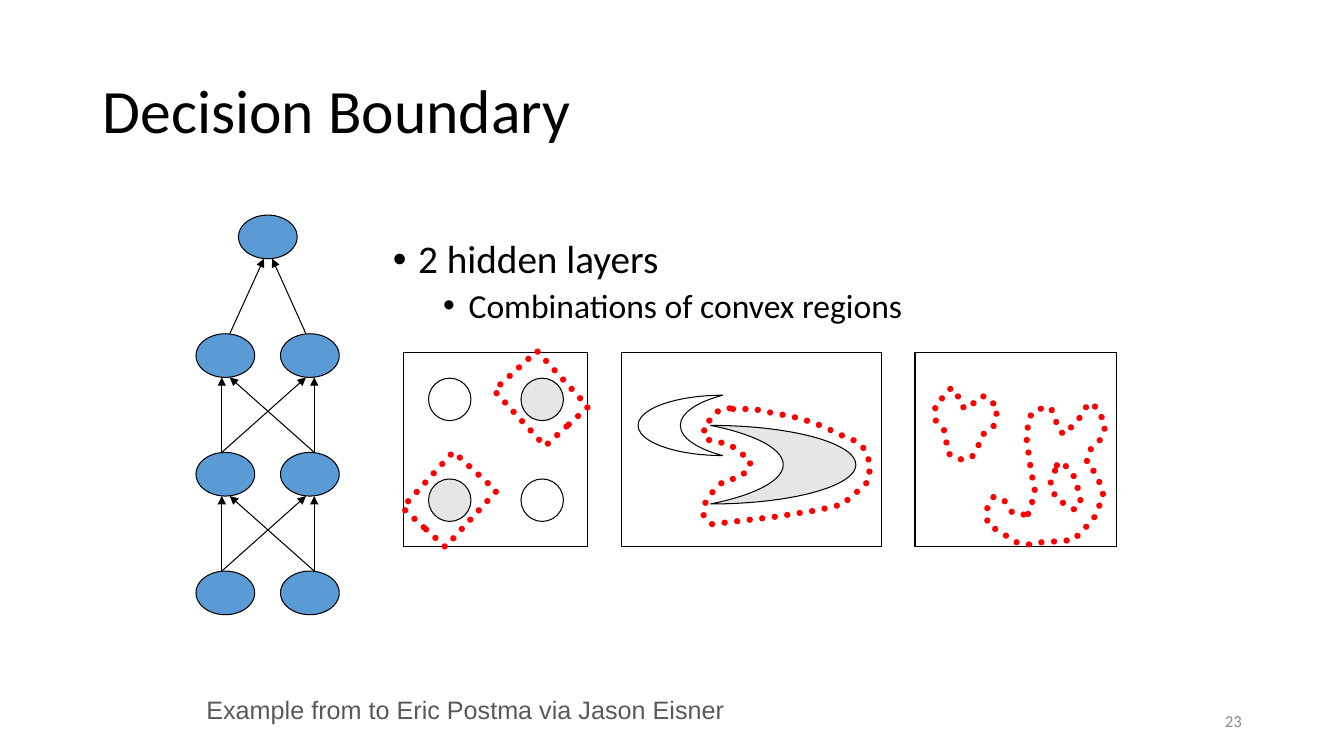
from lxml import etree
from pptx import Presentation
from pptx.dml.color import RGBColor
from pptx.enum.dml import MSO_LINE
from pptx.enum.shapes import MSO_CONNECTOR, MSO_SHAPE
from pptx.enum.text import MSO_ANCHOR, PP_ALIGN
from pptx.oxml.ns import qn
from pptx.util import Cm, Pt

ELLIPSE, RECT, MOON = MSO_SHAPE.OVAL, MSO_SHAPE.RECTANGLE, MSO_SHAPE.MOON
STRAIGHT = MSO_CONNECTOR.STRAIGHT
DOTTED = MSO_LINE.ROUND_DOT
MIDDLE, TOP = MSO_ANCHOR.MIDDLE, MSO_ANCHOR.TOP
LEFT, RIGHT = PP_ALIGN.LEFT, PP_ALIGN.RIGHT

COLORS = {
    "black": "000000",
    "white": "FFFFFF",
    "gray": "E7E6E6",
    "blue": "5B9BD5",
    "red": "FF0000",
    "credit": "595959",
    "number": "8C8C8C",
}

CRESCENT_BOUNDARY = [
    (1839, 1029), (1811, 1034), (1801, 1049), (1773, 1072), (1778, 1107),
    (1839, 1120), (1892, 1161), (1887, 1184), (1860, 1204), (1824, 1212),
    (1796, 1240), (1778, 1267), (1773, 1298), (1793, 1321), (1948, 1303),
    (2065, 1285), (2103, 1275), (2121, 1273), (2174, 1227), (2189, 1212),
    (2193, 1167), (2174, 1125), (2149, 1108), (2121, 1097), (2108, 1090),
    (2051, 1065), (1994, 1049), (1938, 1039), (1892, 1029), (1860, 1033),
]
HEART_BOUNDARY = [
    (2395, 980), (2385, 993), (2357, 1021), (2357, 1058), (2380, 1085),
    (2390, 1143), (2418, 1158), (2449, 1153), (2471, 1113), (2477, 1095),
    (2504, 1074), (2515, 1027), (2482, 998), (2464, 1003), (2443, 1029),
    (2426, 1026), (2417, 1011), (2413, 993), (2398, 988),
]
BOOT_BOUNDARY = [
    (2591, 1295), (2609, 1242), (2598, 1184), (2586, 1097), (2596, 1049),
    (2609, 1034), (2637, 1026), (2649, 1029), (2670, 1085), (2682, 1095),
    (2718, 1057), (2736, 1029), (2741, 1016), (2757, 1022), (2769, 1034),
    (2786, 1074), (2774, 1107), (2746, 1135), (2738, 1167), (2758, 1189),
    (2774, 1222), (2781, 1250), (2756, 1308), (2705, 1361), (2621, 1367),
    (2593, 1372), (2563, 1367), (2489, 1321), (2486, 1285), (2504, 1252),
    (2530, 1260), (2550, 1290), (2571, 1298),
]
HOLE_BOUNDARY = [
    (2659, 1186), (2647, 1219), (2661, 1255), (2695, 1278), (2710, 1285),
    (2723, 1260), (2710, 1205), (2677, 1163), (2664, 1171),
]


def rgb(name):
    return RGBColor.from_string(COLORS[name])


def style_shape(sp, fill=None, dotted=False):
    sp.shadow.inherit = False
    if fill:
        sp.fill.solid()
        sp.fill.fore_color.rgb = rgb(fill)
    else:
        sp.fill.background()
    sp.line.color.rgb = rgb("red" if dotted else "black")
    sp.line.width = Pt(4.5 if dotted else 0.75)
    if dotted:
        sp.line.dash_style = DOTTED
        sp.line._get_or_add_ln().set("cap", "rnd")


def add_figure(s, kind, box, fill=None, dotted=False, rotation=0, flip=False):
    sp = s.shapes.add_shape(kind, *map(Cm, box))
    style_shape(sp, fill, dotted)
    sp.rotation = rotation
    if flip:
        sp._element.spPr.find(qn("a:xfrm")).set("flipH", "1")


def add_boundary(s, points):
    builder = s.shapes.build_freeform(*points[0], scale=Cm(0.01))
    builder.add_line_segments(points[1:], close=True)
    style_shape(builder.convert_to_shape(), dotted=True)


def add_arrow(s, x1, y1, x2, y2):
    line = s.shapes.add_connector(STRAIGHT, Cm(x1), Cm(y1), Cm(x2), Cm(y2))
    line.line.color.rgb = rgb("black")
    line.line.width = Pt(0.75)
    ln = line.line._get_or_add_ln()
    etree.SubElement(ln, qn("a:tailEnd"), type="triangle")
    etree.SubElement(line._element.spPr, qn("a:effectLst"))


def add_text(s, box, lines, color="black", font="Calibri", align=LEFT,
             anchor=TOP, wrap=True):
    """Add a text box; each line is (text, size, spacing, before, left indent)."""
    tf = s.shapes.add_textbox(*map(Cm, box)).text_frame
    tf.word_wrap = wrap
    tf.vertical_anchor = anchor
    for i, (text, size, spacing, before, indent) in enumerate(lines):
        p = tf.paragraphs[0] if i == 0 else tf.add_paragraph()
        p.text = text
        p.alignment = align
        p.line_spacing = spacing
        p.space_before = Pt(before)
        if indent:
            pPr = p._p.get_or_add_pPr()
            pPr.set("marL", str(Cm(indent)))
            pPr.set("indent", str(-Cm(0.64)))
            etree.SubElement(pPr, qn("a:buFont"), typeface="Arial")
            etree.SubElement(pPr, qn("a:buChar"), char="•")
        for r in p.runs:
            r.font.size = Pt(size)
            r.font.name = font
            r.font.color.rgb = rgb(color)


def add_network(s):
    columns, output_x, top_y, step = (5.68, 7.81), 6.75, 5.97, 2.99
    half, width, height = 0.55, 1.1, 1.48
    starts, crossings = (5.59, 7.92), (5.79, 7.71)
    layers = [top_y + i * step for i in range(4)]
    nodes = [(output_x, top_y)] + [(x, y) for y in layers[1:] for x in columns]
    for x, y in nodes:
        add_figure(s, ELLIPSE, (x - width / 2, y - height / 2, width, height),
                   "blue", rotation=270)
    for x1, x2 in zip(crossings, (6.65, 6.86)):
        add_arrow(s, x1, layers[1] - half, x2, top_y + half)
    for upper, lower in zip(layers[1:], layers[2:]):
        for i, x1 in enumerate(starts):
            for j in range(2):
                x2 = starts[j] if i == j else crossings[j]
                add_arrow(s, x1, lower - half, x2, upper + half)


def add_regions(s):
    for row, y in enumerate((9.53, 12.07)):
        for col, x in enumerate((10.8, 13.13)):
            fill = "white" if row == col else "gray"
            add_figure(s, ELLIPSE, (x, y, 1.07, 1.07), fill)
    add_figure(s, MOON, (16.08, 9.96, 2.13, 1.52), "white")
    add_figure(s, MOON, (17.91, 10.72, 3.66, 1.98), "gray", flip=True)
    for x, width in ((10.16, 4.65), (15.67, 6.55), (23.06, 5.08)):
        add_figure(s, RECT, (x, 8.89, width, 4.88))
    add_figure(s, RECT, (10.59, 11.63, 1.47, 1.91), dotted=True, rotation=42.4)
    add_figure(s, RECT, (12.9, 9.09, 1.47, 1.91), dotted=True, rotation=317.6,
               flip=True)
    for points in (CRESCENT_BOUNDARY, HEART_BOUNDARY, BOOT_BOUNDARY,
                   HOLE_BOUNDARY):
        add_boundary(s, points)


def main():
    prs = Presentation()
    prs.slide_width, prs.slide_height = Cm(33.87), Cm(19.05)
    s = prs.slides.add_slide(prs.slide_layouts[6])
    add_text(s, (2.34, 1.02, 29.21, 3.68),
             [("Decision Boundary", 44, 0.9, 0, 0)], anchor=MIDDLE)
    add_text(s, (9.65, 5.92, 17.48, 10.92),
             [("2 hidden layers", 28, 0.9, 0, 0.64),
              ("Combinations of convex regions", 24, 0.9, 5, 1.91)])
    add_text(s, (4.95, 17.37, 14.5, 1.02),
             [("Example from to Eric Postma via Jason Eisner", 18, 1.0, 0, 0)],
             color="credit", font="Arial", wrap=False)
    add_regions(s)
    add_network(s)
    add_text(s, (23.93, 17.65, 7.62, 1.02), [("23", 12, 1.0, 0, 0)],
             color="number", align=RIGHT, anchor=MIDDLE)
    prs.save("out.pptx")


if __name__ == "__main__":
    main()
